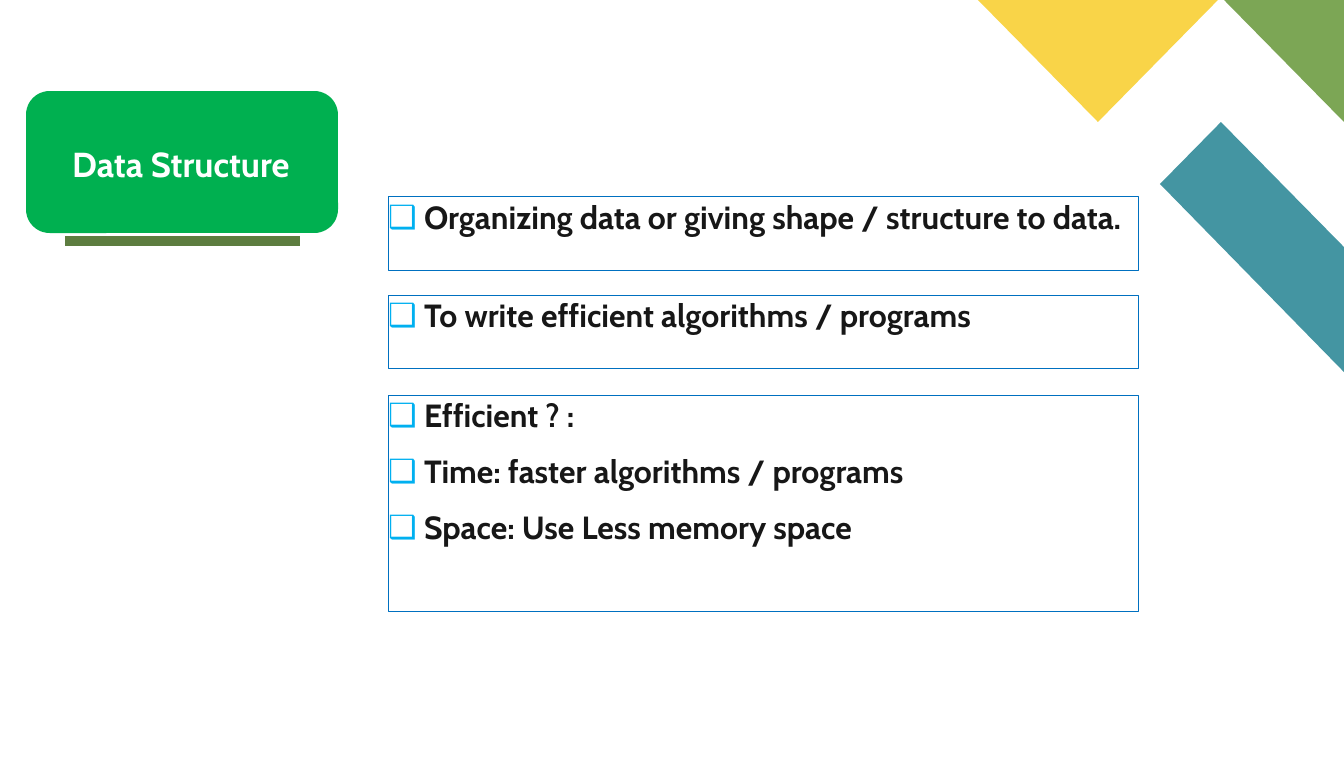
from lxml import etree
from pptx import Presentation
from pptx.dml.color import RGBColor
from pptx.enum.shapes import MSO_CONNECTOR, MSO_SHAPE
from pptx.enum.text import MSO_ANCHOR, MSO_AUTO_SIZE, PP_ALIGN
from pptx.oxml.ns import qn
from pptx.util import Pt

PX = 9525  # EMU per pixel
STRAIGHT = MSO_CONNECTOR.STRAIGHT
ROUNDED = MSO_SHAPE.ROUNDED_RECTANGLE
TOP, MIDDLE = MSO_ANCHOR.TOP, MSO_ANCHOR.MIDDLE
NO_AUTOFIT = MSO_AUTO_SIZE.NONE
LEFT, CENTER = PP_ALIGN.LEFT, PP_ALIGN.CENTER
COMPARISON_LAYOUT = 4

COLORS = {
    "teal": "4495A2", "leaf": "7CA655", "yellow": "F9D448", "olive": "5D7D40",
    "green": "00B050", "border": "0070C0", "bullet": "00B0F0",
    "text": "171717", "white": "FFFFFF",
}


class SlideBuilder:
    font_name = "Cabin"

    def __init__(self, slide):
        self.slide = slide

    def color(self, name):
        return RGBColor.from_string(COLORS[name])

    def paint(self, shape, fill):
        shape.shadow.inherit = False
        shape.fill.solid()
        shape.fill.fore_color.rgb = self.color(fill)
        shape.line.fill.background()

    def polygon(self, points, fill):
        builder = self.slide.shapes.build_freeform(*points[0], scale=PX)
        builder.add_line_segments(points[1:], close=True)
        self.paint(builder.convert_to_shape(), fill)

    def bar(self, x1, y1, x2, y2, color, width):
        line = self.slide.shapes.add_connector(
            STRAIGHT, x1 * PX, y1 * PX, x2 * PX, y2 * PX)
        line.line.color.rgb = self.color(color)
        line.line.width = Pt(width)
        etree.SubElement(line.element.spPr, qn("a:effectLst"))

    def rounded_box(self, box, fill):
        shape = self.slide.shapes.add_shape(ROUNDED, *(v * PX for v in box))
        self.paint(shape, fill)

    def place(self, shape, box, margins, anchor):
        """Move a placeholder to the front and set its frame."""
        self.slide.shapes.element.append(shape.element)
        shape.left, shape.top, shape.width, shape.height = (v * PX for v in box)
        frame = shape.text_frame
        frame.word_wrap = True
        frame.auto_size = NO_AUTOFIT
        frame.vertical_anchor = anchor
        (frame.margin_left, frame.margin_top,
         frame.margin_right, frame.margin_bottom) = (v * PX for v in margins)
        return frame

    def format_paragraph(self, paragraph, size, color, align, space_before=0):
        paragraph.alignment = align
        paragraph.line_spacing = 0.9
        paragraph.space_before = Pt(space_before)
        for run in paragraph.runs:
            run.font.name = self.font_name
            run.font.size = Pt(size)
            run.font.bold = True
            run.font.color.rgb = self.color(color)

    def title(self, text, box):
        frame = self.place(self.slide.shapes.title, box, (11, 11, 11, 11), MIDDLE)
        frame.text = text
        self.format_paragraph(frame.paragraphs[0], 26, "white", CENTER)

    def add_bullet(self, paragraph):
        properties = paragraph._p.get_or_add_pPr()
        properties.set("marL", str(36 * PX))
        properties.set("indent", str(-36 * PX))
        bullet_color = etree.SubElement(properties, qn("a:buClr"))
        etree.SubElement(bullet_color, qn("a:srgbClr"), val=COLORS["bullet"])
        etree.SubElement(properties, qn("a:buChar"), char="❑")

    def bullet_list(self, placeholder, items, box):
        frame = self.place(placeholder, box, (0, 5, 10, 5), TOP)
        placeholder.line.color.rgb = self.color("border")
        placeholder.line.width = Pt(0.75)
        frame.text = "\n".join(items)
        for index, paragraph in enumerate(frame.paragraphs):
            self.add_bullet(paragraph)
            self.format_paragraph(paragraph, 24, "text", LEFT, 16 if index else 0)


def main():
    presentation = Presentation()
    presentation.slide_width = 1344 * PX
    presentation.slide_height = 768 * PX
    slide = presentation.slides.add_slide(
        presentation.slide_layouts[COMPARISON_LAYOUT])
    builder = SlideBuilder(slide)

    # Corner decoration
    builder.polygon([(1344, 372), (1344, 247), (1221, 122), (1160, 184)], "teal")
    builder.polygon([(1344, 122), (1344, 0), (1224, 0)], "leaf")
    builder.polygon([(978, 0), (1098, 122), (1218, 0)], "yellow")

    # Title badge
    builder.bar(65, 241, 300, 241, "olive", 8)
    builder.rounded_box((26, 91, 312, 142), "green")
    builder.title("Data Structure", (43, 113, 276, 106))

    # Bulleted boxes
    lists = [
        (197, 74, ["Organizing data or giving shape / structure to data."]),
        (295, 74, ["To write efficient algorithms / programs"]),
        (395, 217, ["Efficient ? :",
                    "Time: faster algorithms / programs",
                    "Space: Use Less memory space"]),
    ]
    bodies = list(slide.placeholders)[1:]
    for placeholder, (top, height, items) in zip(bodies, lists):
        builder.bullet_list(placeholder, items, (388, top, 751, height))
    for unused in bodies[len(lists):]:
        slide.shapes.element.remove(unused.element)

    presentation.save("out.pptx")


if __name__ == "__main__":
    main()
